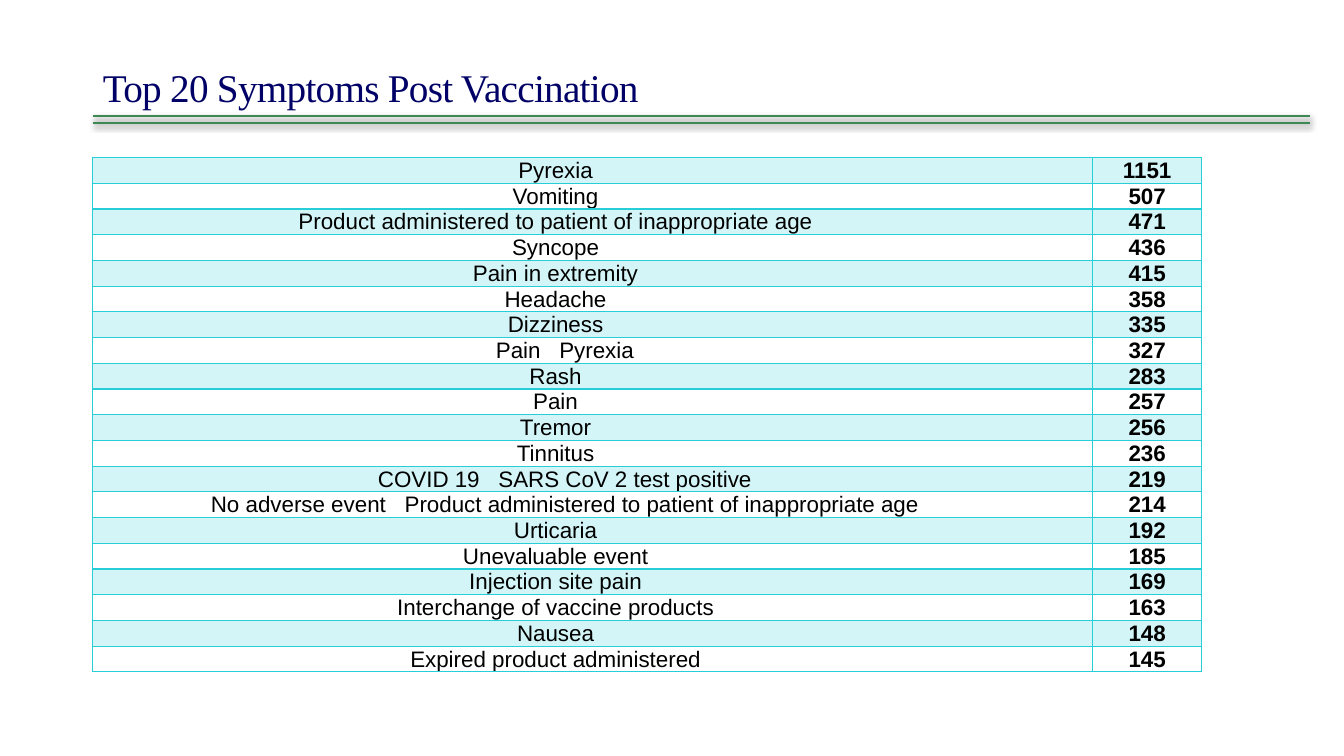
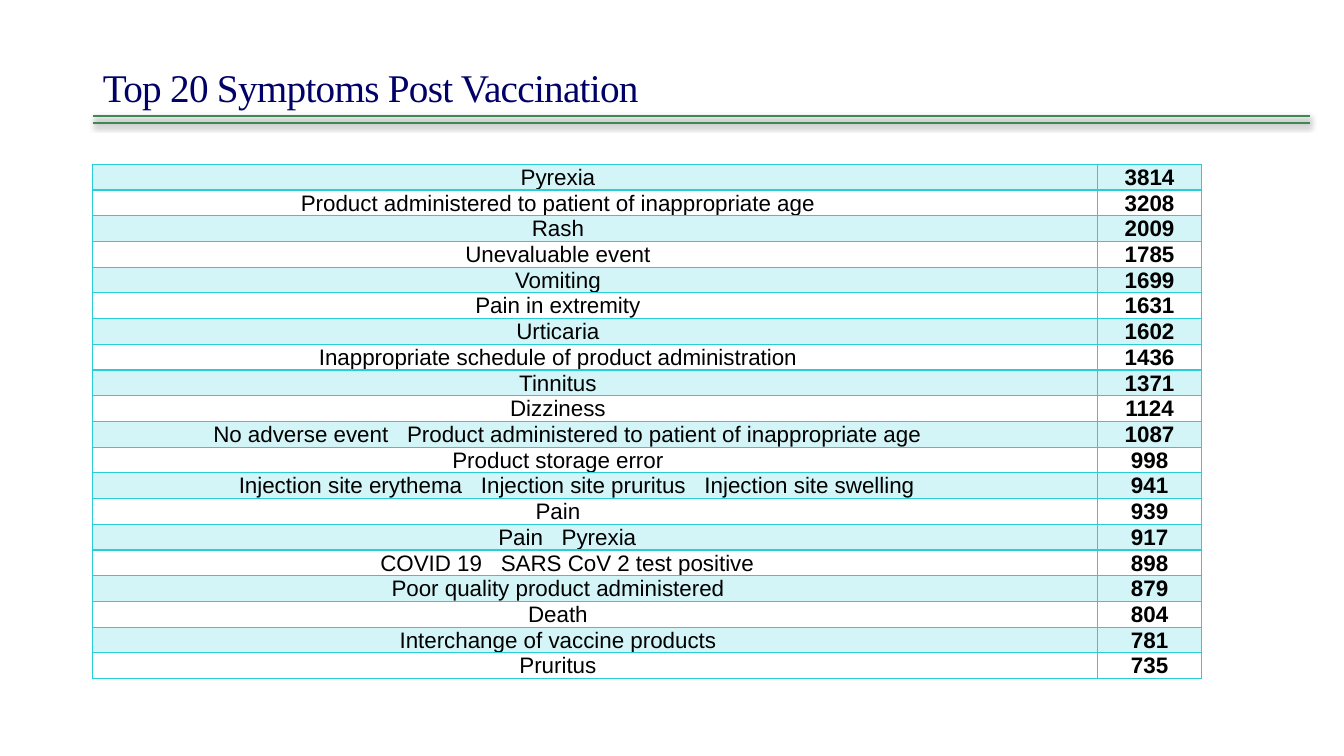
from lxml import etree
from pptx import Presentation
from pptx.dml.color import RGBColor
from pptx.enum import shapes, text
from pptx.oxml import ns
from pptx.util import Cm, Pt

TITLE = "Top 20 Symptoms Post Vaccination"
NAVY, GREEN, TURQUOISE, BLACK = "000066", "3E8853", "27CED7", "000000"
LEFT, TABLE_WIDTH, ROW_HEIGHT = 2.34, 27.94, 0.64
RULE_RIGHT, RULE_TOPS = 33.02, (2.92, 3.1)
SYMPTOM_SLOTS, SLOT_WIDTH = 5, 0.47  # unused slots push the text left
SLOT_SPACING = 8.9  # points added to the space between joint symptoms

WRONG_AGE = "Product administered to patient of inappropriate age"
COVID = ("COVID 19", "SARS CoV 2 test positive")

# Each row: count, then the symptoms reported together
PAGES = [
    dict(top=3.97, count_width=2.74, anchor=text.MSO_ANCHOR.MIDDLE, rows=[
        (1151, "Pyrexia"),
        (507, "Vomiting"),
        (471, WRONG_AGE),
        (436, "Syncope"),
        (415, "Pain in extremity"),
        (358, "Headache"),
        (335, "Dizziness"),
        (327, "Pain", "Pyrexia"),
        (283, "Rash"),
        (257, "Pain"),
        (256, "Tremor"),
        (236, "Tinnitus"),
        (219, *COVID),
        (214, "No adverse event", WRONG_AGE),
        (192, "Urticaria"),
        (185, "Unevaluable event"),
        (169, "Injection site pain"),
        (163, "Interchange of vaccine products"),
        (148, "Nausea"),
        (145, "Expired product administered"),
    ]),
    dict(top=4.14, count_width=2.62, anchor=text.MSO_ANCHOR.BOTTOM, rows=[
        (3814, "Pyrexia"),
        (3208, WRONG_AGE),
        (2009, "Rash"),
        (1785, "Unevaluable event"),
        (1699, "Vomiting"),
        (1631, "Pain in extremity"),
        (1602, "Urticaria"),
        (1436, "Inappropriate schedule of product administration"),
        (1371, "Tinnitus"),
        (1124, "Dizziness"),
        (1087, "No adverse event", WRONG_AGE),
        (998, "Product storage error"),
        (941, "Injection site erythema", "Injection site pruritus",
         "Injection site swelling"),
        (939, "Pain"),
        (917, "Pain", "Pyrexia"),
        (898, *COVID),
        (879, "Poor quality product administered"),
        (804, "Death"),
        (781, "Interchange of vaccine products"),
        (735, "Pruritus"),
    ]),
]


def colour(value):
    return RGBColor.from_string(value)


def add_xml(parent, tag, **attributes):
    child = etree.SubElement(parent, ns.qn(tag))
    for name, value in attributes.items():
        child.set(name, str(value))
    return child


def write(para, words, size=16, font="Arial", fill=BLACK, bold=False,
          align=text.PP_ALIGN.CENTER, spacing=0):
    para.alignment = align
    span = para.add_run()
    span.text = words
    span.font.size, span.font.name, span.font.bold = Pt(size), font, bold
    span.font.color.rgb = colour(fill)
    if spacing:
        span.font._element.set("spc", str(round(spacing * 100)))


def add_title(page):
    box = page.shapes.title
    box.left, box.top, box.width, box.height = Cm(LEFT), Cm(0.79), Cm(30.68), Cm(2.13)
    frame = box.text_frame
    frame.auto_size = text.MSO_AUTO_SIZE.NONE
    frame.vertical_anchor = text.MSO_ANCHOR.BOTTOM
    para = frame.paragraphs[0]
    para.line_spacing = 0.85
    write(para, TITLE, size=28, font="Times New Roman", fill=NAVY,
          align=text.PP_ALIGN.LEFT, spacing=-0.5)


def add_rule(page, top):
    rule = page.shapes.add_connector(shapes.MSO_CONNECTOR.STRAIGHT,
                                     Cm(LEFT), Cm(top), Cm(RULE_RIGHT), Cm(top))
    rule.line.color.rgb = colour(GREEN)
    rule.line.width = Pt(1.75)
    effects = add_xml(rule._element.spPr, "a:effectLst")
    shadow = add_xml(effects, "a:outerShdw", blurRad=Pt(4), dist=Pt(2),
                     dir=90 * 60000, algn="ctr", rotWithShape=0)
    add_xml(add_xml(shadow, "a:srgbClr", val=BLACK), "a:alpha", val=28000)


def format_cell(cell, anchor, shaded, right):
    cell.vertical_anchor = anchor
    cell.margin_left = cell.margin_top = Cm(0.02)
    cell.margin_right, cell.margin_bottom = Cm(right), 0
    properties = cell._tc.get_or_add_tcPr()
    for side in ("a:lnL", "a:lnR", "a:lnT", "a:lnB"):
        border = add_xml(properties, side, w=Pt(1))
        add_xml(add_xml(border, "a:solidFill"), "a:srgbClr", val=TURQUOISE)
    fill = add_xml(properties, "a:solidFill" if shaded else "a:noFill")
    if shaded:
        add_xml(add_xml(fill, "a:srgbClr", val=TURQUOISE), "a:alpha", val=20000)


def add_symptoms(page, top, count_width, anchor, rows):
    table = page.shapes.add_table(len(rows), 2, Cm(LEFT), Cm(top), Cm(TABLE_WIDTH),
                                  Cm(ROW_HEIGHT * len(rows))).table
    table.first_row = table.horz_banding = False
    table.columns[0].width = Cm(TABLE_WIDTH - count_width)
    table.columns[1].width = Cm(count_width)
    for index, (count, *symptoms) in enumerate(rows):
        table.rows[index].height = Cm(ROW_HEIGHT)
        name_cell, count_cell = table.cell(index, 0), table.cell(index, 1)
        shaded = index % 2 == 0
        unused = SYMPTOM_SLOTS - len(symptoms)
        format_cell(name_cell, anchor, shaded, 0.02 + unused * SLOT_WIDTH)
        format_cell(count_cell, anchor, shaded, 0.02)
        para = name_cell.text_frame.paragraphs[0]
        for position, symptom in enumerate(symptoms):
            if position:
                write(para, " ", spacing=SLOT_SPACING)
            write(para, symptom)
        write(count_cell.text_frame.paragraphs[0], str(count), bold=True)


def main():
    deck = Presentation()
    deck.slide_width, deck.slide_height = Cm(33.87), Cm(19.05)
    for content in PAGES:
        page = deck.slides.add_slide(deck.slide_layouts[5])
        add_title(page)
        for top in RULE_TOPS:
            add_rule(page, top)
        add_symptoms(page, **content)
    deck.save("out.pptx")


if __name__ == "__main__":
    main()
